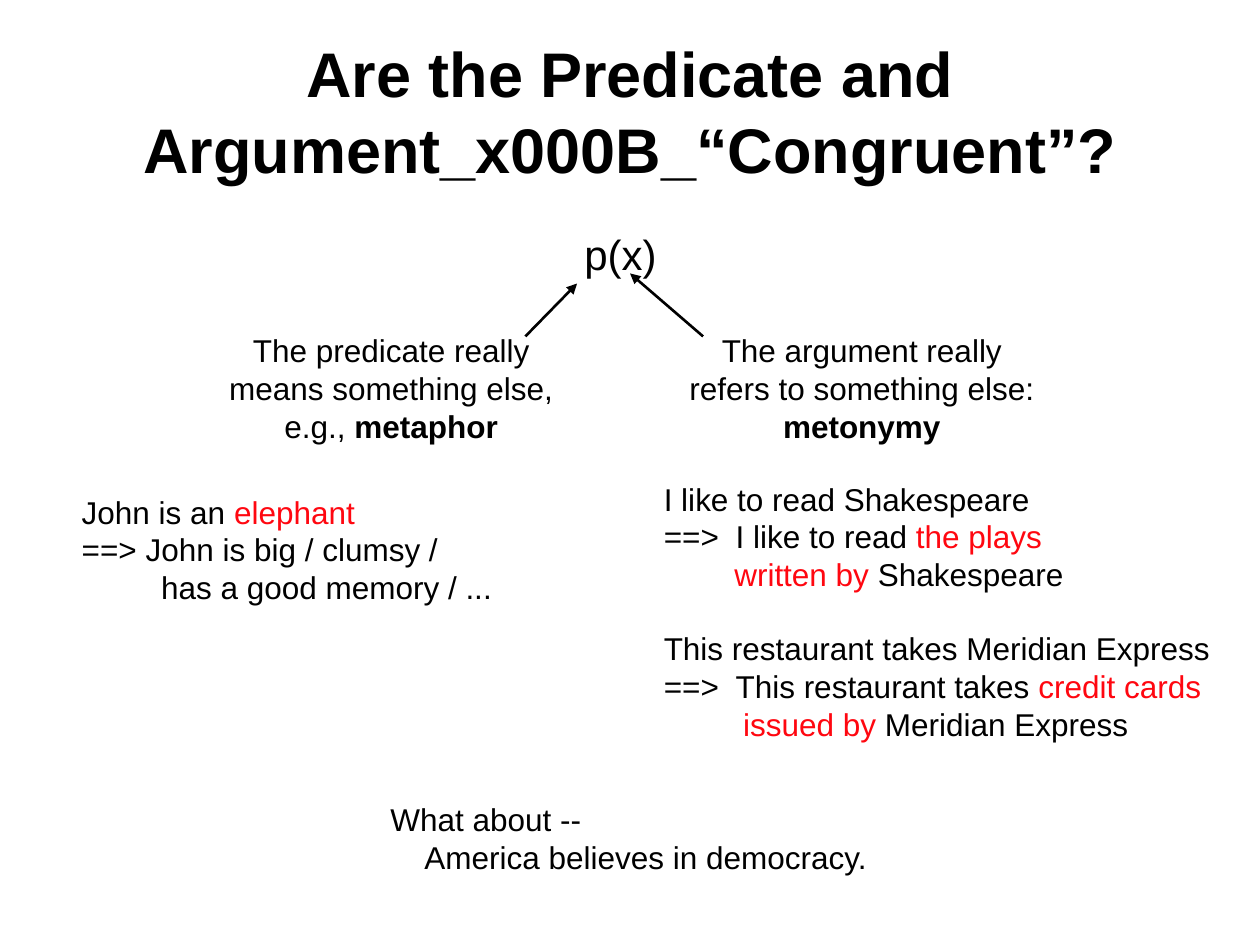
from lxml import etree
from pptx import Presentation
from pptx import util as u
from pptx.dml.color import RGBColor
from pptx.enum import shapes, text
from pptx.oxml import ns

BLACK = RGBColor(0x00, 0x00, 0x00)
RED = RGBColor(0xFF, 0x07, 0x10)
FONT = "Arial"
WIDTH, HEIGHT = 10, 7.5
LINE_GAP = 20.7
ARROW_TOP = 2.67


def add_lines(slide, box, lines, size=18, centred=False, bold=False):
    frame = slide.shapes.add_textbox(*(u.Inches(v) for v in box)).text_frame
    frame.word_wrap = True
    frame.vertical_anchor = text.MSO_ANCHOR.MIDDLE
    frame.margin_left = u.Inches(0.05 if centred else 0.1)
    frame.margin_right = u.Inches(0.05 if centred else 0)
    frame.text = "\n".join("" for _ in lines)
    for paragraph, parts in zip(frame.paragraphs, lines):
        paragraph.alignment = text.PP_ALIGN.CENTER if centred else text.PP_ALIGN.LEFT
        for words, *style in parts:
            run = paragraph.add_run()
            run.text = words
            run.font.name = FONT
            run.font.size = u.Pt(size)
            run.font.bold = bold or "bold" in style
            run.font.color.rgb = RED if "red" in style else BLACK
    return frame.paragraphs


def indent(paragraph, left, first=0):
    properties = paragraph._p.get_or_add_pPr()
    properties.set("marL", str(u.Inches(left)))
    properties.set("indent", str(u.Inches(first)))


def add_arrow(slide, start, end):
    arrow = slide.shapes.add_connector(
        shapes.MSO_CONNECTOR.STRAIGHT, *(u.Inches(v) for v in (*start, *end)))
    arrow.line.color.rgb = BLACK
    arrow.line.width = u.Pt(1.5)
    etree.SubElement(arrow.line._get_or_add_ln(), ns.qn("a:tailEnd"), type="triangle")
    etree.SubElement(arrow._element.spPr, ns.qn("a:effectLst"))


def add_readings(slide):
    add_lines(slide, (1.72, 2.58, 2.77, 1), [
        [("The predicate really",)],
        [("means something else,",)],
        [("e.g., ",), ("metaphor", "bold")],
    ], centred=True)
    add_lines(slide, (5.37, 2.58, 2.94, 1), [
        [("The argument really",)],
        [("refers to something else:",)],
        [("metonymy", "bold")],
    ], centred=True)


def add_examples(slide):
    metaphor = add_lines(slide, (0.55, 3.86, 3.45, 1), [
        [("John is an ",), ("elephant", "red")],
        [("==> John is big / clumsy /",)],
        [("has a good memory / ...",)],
    ])
    indent(metaphor[2], 0.63)

    metonymy = add_lines(slide, (5.17, 3.75, 4.63, 2.2), [
        [("I like to read Shakespeare",)],
        [("==>\tI like to read",), (" the plays", "red")],
        [("written by", "red"), (" Shakespeare",)],
        [("This restaurant takes Meridian Express",)],
        [("==>\tThis restaurant takes",), (" credit cards", "red")],
        [("issued by", "red"), (" Meridian Express",)],
    ])
    for rewrite in (metonymy[1], metonymy[4]):
        indent(rewrite, 0.57, -0.57)
    indent(metonymy[2], 0.56)
    indent(metonymy[5], 0.63)
    metonymy[3].space_before = u.Pt(LINE_GAP)


def main():
    deck = Presentation()
    deck.slide_width, deck.slide_height = u.Inches(WIDTH), u.Inches(HEIGHT)
    slide = deck.slides.add_slide(deck.slide_layouts[6])

    add_lines(slide, (0.75, 0.25, 8.5, 1.25),
              [[("Are the Predicate and Argument\v“Congruent”?",)]],
              size=36, centred=True, bold=True)
    add_lines(slide, (4.54, 1.76, 0.77, 0.5), [[("p(x)",)]], size=24)
    add_readings(slide)
    add_examples(slide)
    add_arrow(slide, (4.17, ARROW_TOP), (4.58, 2.25))
    add_arrow(slide, (5.58, ARROW_TOP), (5, 2.17))
    question = add_lines(slide, (3, 6.3, 4, 0.7), [
        [("What about --",)],
        [("America believes in democracy.",)],
    ])
    indent(question[1], 0.27)

    deck.save("out.pptx")


if __name__ == "__main__":
    main()
